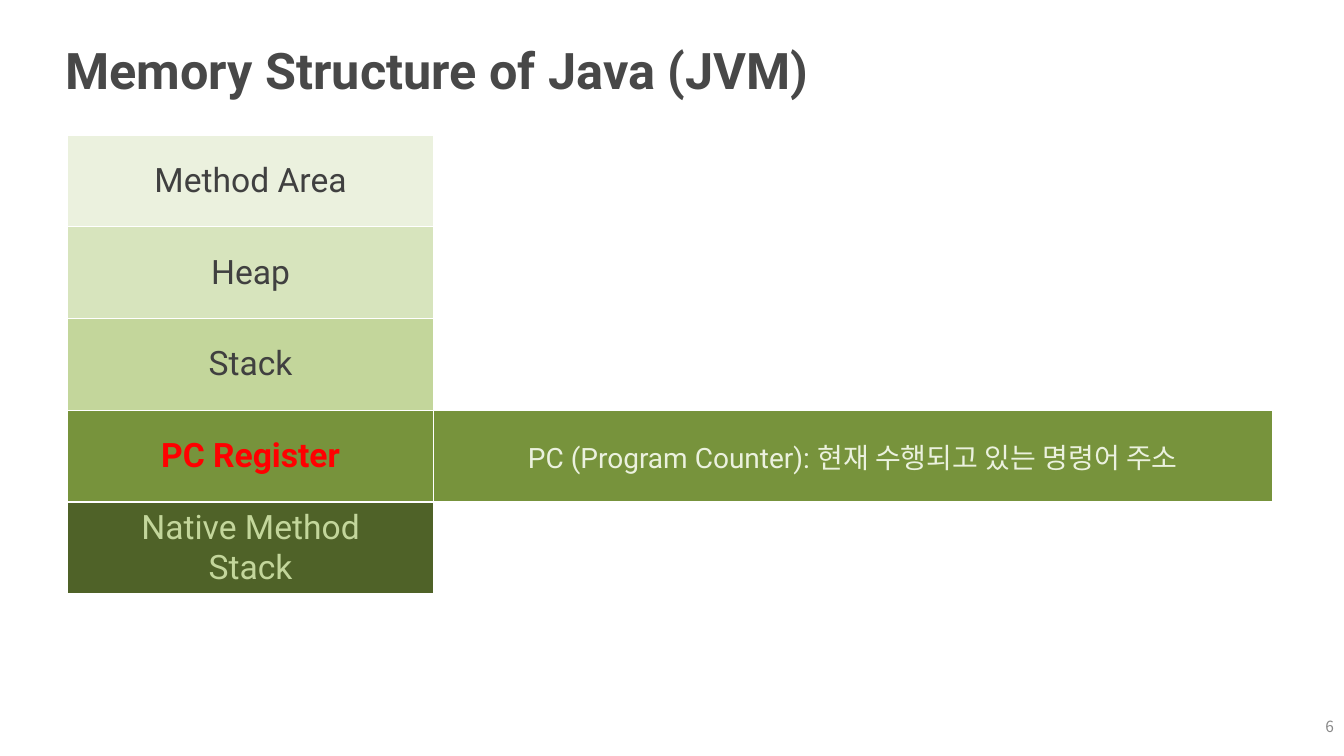
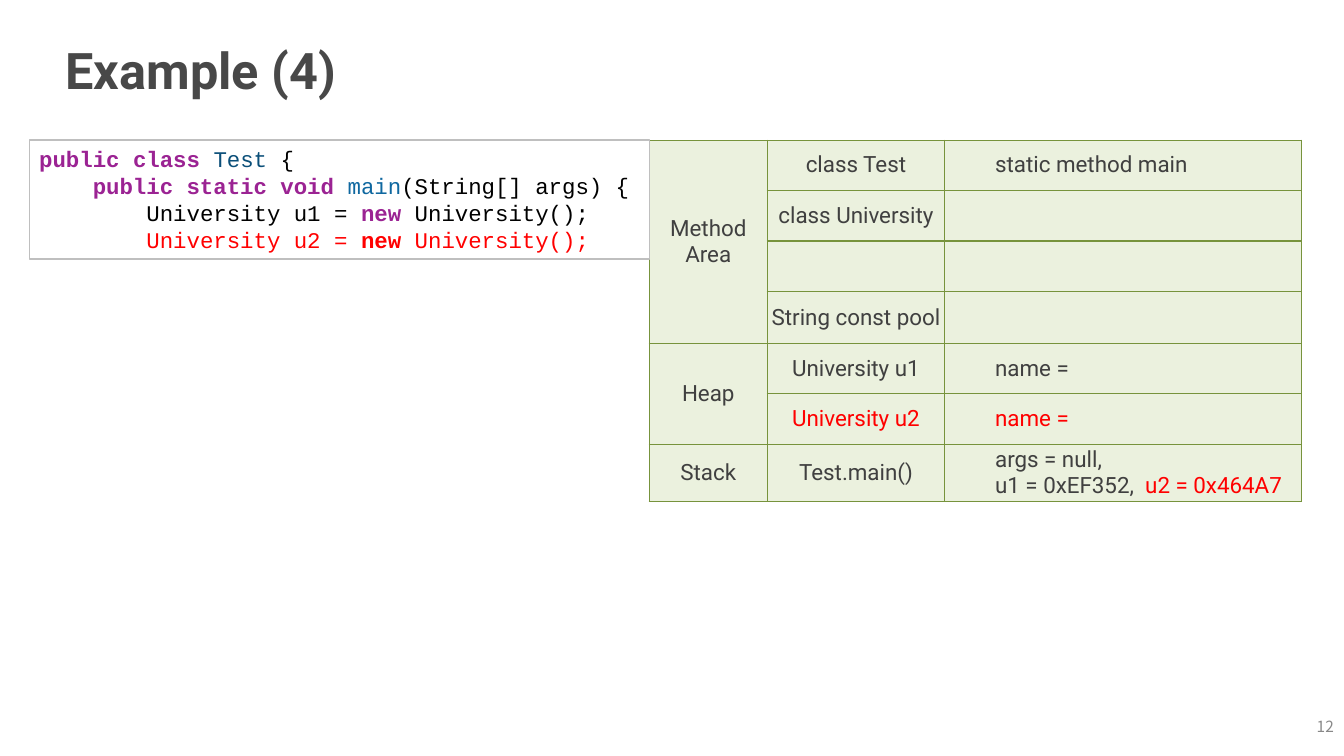
from lxml.etree import SubElement
from pptx import Presentation
from pptx.dml.color import RGBColor
from pptx.enum.shapes import MSO_SHAPE
from pptx.enum.text import MSO_ANCHOR, MSO_AUTO_SIZE, PP_ALIGN
from pptx.oxml.ns import qn
from pptx.util import Inches, Pt

SANS, KOREAN, MONO = "Roboto", "Noto Sans CJK KR", "Courier New"
TITLE, PAGE, DARK, RED = "484848", "888888", "404040", "FF0000"
WHITE, BLACK, GRAY = "FFFFFF", "000000", "BFBFBF"
MINT, LIGHT, SOFT, GREEN, FOREST = "EBF1DE", "D7E4BD", "C3D69B", "77933C", "4F6228"
KEYWORD, TYPE_NAME, METHOD = "9B2393", "0B4F79", "0F68A0"


def rgb(color):
    return RGBColor.from_string(color)


def box(*lengths):
    return [Inches(v) for v in lengths]


def write(tf, lines, size, color, font=SANS, align=PP_ALIGN.LEFT, bold=False):
    for i, line in enumerate(lines):
        p = tf.paragraphs[0] if i == 0 else tf.add_paragraph()
        p.alignment = align
        for run in [line] if isinstance(line, str) else line:
            text, run_color, run_bold = (run, color, bold) if isinstance(run, str) else run
            r = p.add_run()
            r.text = text
            r.font.name = font
            r.font.size = Pt(size)
            r.font.bold = run_bold
            r.font.color.rgb = rgb(run_color)
            ea = SubElement(r.font._element, qn("a:ea"))
            ea.set("typeface", KOREAN)


def set_margins(tf, margin):
    tf.margin_left = tf.margin_right = tf.margin_top = tf.margin_bottom = Inches(margin)


def add_slide(prs, title, number):
    s = prs.slides.add_slide(prs.slide_layouts[5])
    sp = s.shapes.title
    sp.left, sp.top, sp.width, sp.height = box(0.6, 0.29, 12.08, 0.79)
    page = s.shapes.add_textbox(*box(12.78, 7.08, 0.5, 0.26))
    for tf in (sp.text_frame, page.text_frame):
        tf.word_wrap = True
        tf.auto_size = MSO_AUTO_SIZE.NONE
        tf.vertical_anchor = MSO_ANCHOR.MIDDLE
        set_margins(tf, 0.05)
    write(sp.text_frame, [title], 36, TITLE, bold=True)
    write(page.text_frame, [number], 11, PAGE, KOREAN, PP_ALIGN.RIGHT)
    return s


def set_borders(cell, color):
    tc_pr = cell._tc.get_or_add_tcPr()
    for side in ("lnL", "lnR", "lnT", "lnB"):
        ln = SubElement(tc_pr, qn(f"a:{side}"), w=str(Pt(1)))
        fill = SubElement(ln, qn("a:solidFill"))
        SubElement(fill, qn("a:srgbClr"), val=color)


def add_table(s, left, top, widths, heights, border):
    frame = s.shapes.add_table(len(heights), len(widths),
                               *box(left, top, sum(widths), sum(heights)))
    table = frame.table
    table.first_row = table.horz_banding = False
    for column, width in zip(table.columns, widths):
        column.width = Inches(width)
    for row, height in zip(table.rows, heights):
        row.height = Inches(height)
    for cell in table.iter_cells():
        set_margins(cell, 0)
        cell.vertical_anchor = MSO_ANCHOR.MIDDLE
        set_borders(cell, border)
        cell.fill.background()
    return table


def fill_cell(cell, color):
    cell.fill.solid()
    cell.fill.fore_color.rgb = rgb(color)


def add_code(s, at, lines):
    sp = s.shapes.add_shape(MSO_SHAPE.RECTANGLE, *box(*at))
    sp.shadow.inherit = False
    sp.fill.background()
    sp.line.color.rgb = rgb(GRAY)
    sp.line.width = Pt(1)
    tf = sp.text_frame
    tf.word_wrap = True
    tf.vertical_anchor = MSO_ANCHOR.TOP
    write(tf, lines, 16, BLACK, MONO)


def memory_slide(prs):
    s = add_slide(prs, "Memory Structure of Java (JVM)", "6")
    areas = [
        (["Method Area"], MINT, DARK),
        (["Heap"], LIGHT, DARK),
        (["Stack"], SOFT, DARK),
        (["PC Register"], GREEN, RED),
        (["Native Method", "Stack"], FOREST, SOFT),
    ]
    table = add_table(s, 0.67, 1.34, [3.63, 8.32], [0.91] * len(areas), WHITE)
    for i, (lines, fill, color) in enumerate(areas):
        cell = table.cell(i, 0)
        fill_cell(cell, fill)
        write(cell.text_frame, lines, 24, color, align=PP_ALIGN.CENTER, bold=color == RED)
    note = table.cell(3, 1)
    fill_cell(note, GREEN)
    write(note.text_frame, ["PC (Program Counter): 현재 수행되고 있는 명령어 주소"],
          20, MINT, align=PP_ALIGN.CENTER)


def example_slide(prs):
    s = add_slide(prs, "Example (4)", "12")
    rows = [
        (["Method Area"], ["class Test"], ["static method main"]),
        ([], ["class University"], []),
        ([], [], []),
        ([], ["String const pool"], []),
        (["Heap"], ["University u1"], ["name ="]),
        ([], [[("University u2", RED, False)]], [[("name =", RED, False)]]),
        (["Stack"], ["Test.main()"],
         ["args = null,", ["u1 = 0xEF352,  ", ("u2 = 0x464A7", RED, False)]]),
    ]
    table = add_table(s, 6.44, 1.39, [1.17, 1.76, 3.54], [0.5] * 6 + [0.57], GREEN)
    for first, last in ((0, 3), (4, 5)):
        table.cell(first, 0).merge(table.cell(last, 0))
    for i, row in enumerate(rows):
        for j, lines in enumerate(row):
            cell = table.cell(i, j)
            fill_cell(cell, MINT)
            if j == 2:
                cell.margin_left = Inches(0.5)
            write(cell.text_frame, lines, 16, DARK,
                  align=PP_ALIGN.LEFT if j == 2 else PP_ALIGN.CENTER)
    add_code(s, (0.29, 1.39, 6.15, 1.18), [
        [("public class ", KEYWORD, True), ("Test ", TYPE_NAME, False), "{"],
        ["    ", ("public static void ", KEYWORD, True), ("main", METHOD, False),
         "(String[] args) {"],
        ["        University u1 = ", ("new", KEYWORD, True), " University();"],
        [("        University u2 = ", RED, False), ("new", RED, True),
         (" University();", RED, False)],
    ])


def main():
    prs = Presentation()
    prs.slide_width, prs.slide_height = box(13.33, 7.5)
    memory_slide(prs)
    example_slide(prs)
    prs.save("out.pptx")


if __name__ == "__main__":
    main()
